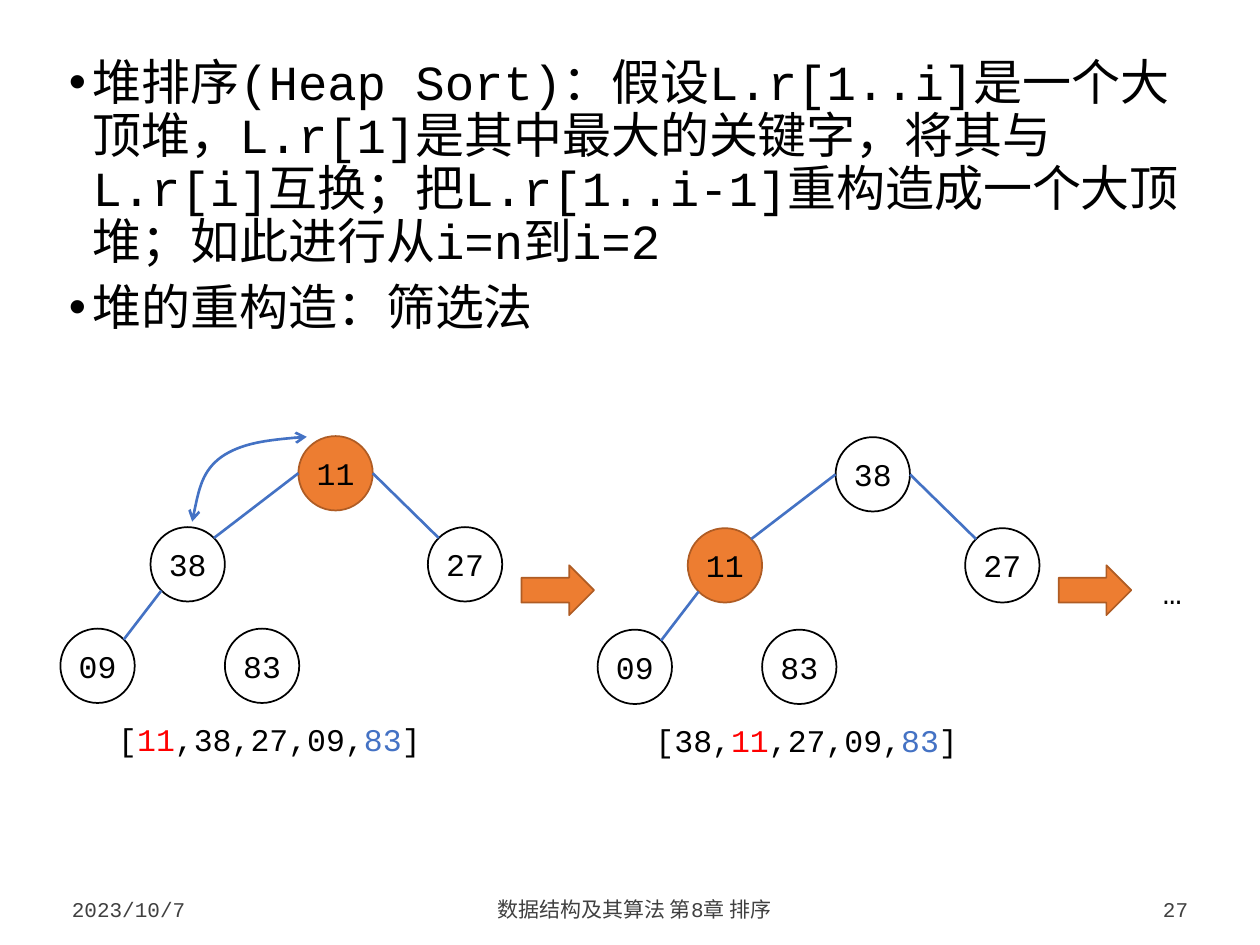
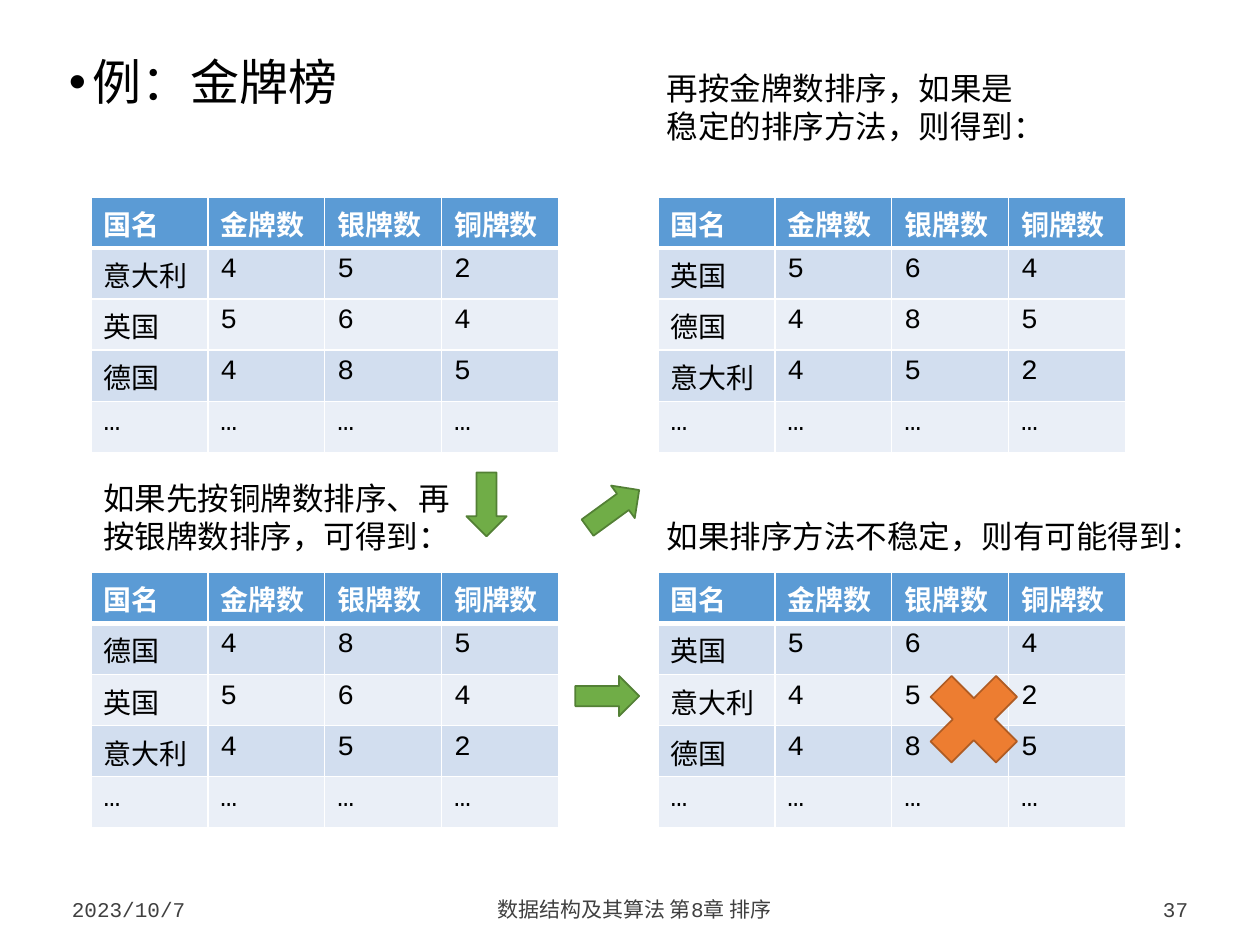
import math

import pptx
import pptx.dml.color
import pptx.enum.shapes
import pptx.enum.text
import pptx.oxml
import pptx.oxml.ns
import pptx.util

Pt = pptx.util.Pt
SHAPE = pptx.enum.shapes.MSO_SHAPE
ALIGN = pptx.enum.text.PP_ALIGN
ANCHOR = pptx.enum.text.MSO_ANCHOR
qn = pptx.oxml.ns.qn

COLORS = {
    "black": "000000", "white": "FFFFFF", "footer": "404040",
    "blue": "4472C4", "red": "FF0000",
    "orange": "ED7D31", "orange_line": "AF5C24",
    "green": "70AD47", "green_line": "538035",
    "header": "5B9BD5", "odd_row": "D2DEEF", "even_row": "EAEFF7",
}
FONT = "Courier New"
STYLES = {
    "body": {"size": Pt(28), "name": FONT},
    "label": {"size": Pt(18), "name": FONT},
    "footer": {"size": Pt(12), "name": FONT},
    "cell": {"size": Pt(16), "name": FONT, "bold": False},
    "head_cell": {"size": Pt(16), "name": FONT, "bold": True},
}
BULLET_FORMAT = {"line_spacing": 0.9, "space_before": Pt(7.5)}
BODY_FRAME = {"margin_left": Pt(5.4), "margin_right": Pt(5.4),
              "margin_top": Pt(5.4), "margin_bottom": Pt(5.4)}
NODE_FRAME = {"margin_left": 0, "margin_right": 0, "margin_top": 0,
              "margin_bottom": 0, "word_wrap": False,
              "vertical_anchor": ANCHOR.MIDDLE}

BODY_BOX = (34, 28, 652, 462)
FOOTER_TOP, FOOTER_HEIGHT = 502, 28
NODE_SIZE = 42.5
NODE_PLACES = {"root": (136, 0), "left": (51.5, 52), "right": (210, 52),
               "left_leaf": (0, 110), "right_leaf": (94, 110)}


# Shared helpers
def rgb(name):
    return pptx.dml.color.RGBColor.from_string(COLORS[name])


def set_values(target, values):
    for name, value in values.items():
        setattr(target, name, value)


def add_xml(parent, tag, **attributes):
    child = pptx.oxml.parse_xml(f"<a:{tag} {pptx.oxml.ns.nsdecls('a')}/>")
    for name, value in attributes.items():
        child.set(name, str(value))
    parent.append(child)
    return child


def add_spans(para, spans, style):
    """Write (text, colour) pairs into a paragraph."""
    for text, color in spans:
        span = para.add_run()
        span.text = text
        set_values(span.font, STYLES[style])
        span.font.color.rgb = rgb(color)


def add_text(shapes, box, spans, style="label", wrap=True, **para_format):
    text_box = shapes.add_textbox(*map(Pt, box))
    text_box.text_frame.word_wrap = wrap
    para = text_box.text_frame.paragraphs[0]
    set_values(para, para_format)
    add_spans(para, spans, style)
    return text_box


def add_figure(shapes, kind, box, fill, line, rotation=0):
    figure = shapes.add_shape(kind, *map(Pt, box))
    figure.shadow.inherit = False
    figure.rotation = rotation
    figure.fill.solid()
    figure.fill.fore_color.rgb = rgb(fill)
    figure.line.color.rgb = rgb(line)
    figure.line.width = Pt(1)
    return figure


# Parts on every slide
def add_bullets(page, box, items):
    body = page.shapes.add_textbox(*map(Pt, box))
    frame = body.text_frame
    frame.word_wrap = True
    set_values(frame, BODY_FRAME)
    for index, item in enumerate(items):
        para = frame.add_paragraph() if index else frame.paragraphs[0]
        set_values(para, BULLET_FORMAT)
        properties = para._p.get_or_add_pPr()
        properties.set("marL", str(Pt(13.5)))
        properties.set("indent", str(-Pt(13.5)))
        add_xml(properties, "buFont", typeface="Arial")
        add_xml(properties, "buChar", char="•")
        add_spans(para, [(item, "black")], "body")


def add_footer(page, number):
    parts = [(34, 90, "2023/10/7", ALIGN.LEFT),
             (132.5, 460, "数据结构及其算法 第8章 排序", ALIGN.CENTER),
             (601, 85, number, ALIGN.RIGHT)]
    for left, width, text, alignment in parts:
        box = add_text(page.shapes, (left, FOOTER_TOP, width, FOOTER_HEIGHT),
                       [(text, "footer")], "footer", alignment=alignment)
        box.text_frame.vertical_anchor = ANCHOR.BOTTOM


def new_page(deck, bullets, number):
    page = deck.slides.add_slide(deck.slide_layouts[6])
    add_bullets(page, BODY_BOX, bullets)
    add_footer(page, number)
    return page


# Heap tree: nodes, edges and the array below
def add_edge(shapes, start, end):
    edge = shapes.add_connector(pptx.enum.shapes.MSO_CONNECTOR.STRAIGHT,
                                *map(Pt, start + end))
    edge.line.color.rgb = rgb("blue")
    edge.line.width = Pt(1.5)
    add_xml(edge.element.spPr, "effectLst")


def add_tree(page, left, top, labels, moved, array):
    shapes = page.shapes.add_group_shape().shapes
    radius = NODE_SIZE / 2

    def rim(name, angle):
        x, y = NODE_PLACES[name]
        turn = math.radians(angle)
        return (left + x + radius * (1 + math.cos(turn)),
                top + y + radius * (1 - math.sin(turn)))

    for (name, (x, y)), label in zip(NODE_PLACES.items(), labels):
        colors = ("orange", "orange_line") if name == moved else ("white", "black")
        node = add_figure(shapes, SHAPE.OVAL,
                          (left + x, top + y, NODE_SIZE, NODE_SIZE), *colors)
        set_values(node.text_frame, NODE_FRAME)
        para = node.text_frame.paragraphs[0]
        para.alignment = ALIGN.CENTER
        add_spans(para, [(label, "black")], "label")

    for parent, from_angle, child, to_angle in [
            ("root", 180, "left", 45), ("root", 0, "right", 135),
            ("left", 225, "left_leaf", 45)]:
        add_edge(shapes, rim(parent, from_angle), rim(child, to_angle))
    add_text(shapes, (left + 26, top + 158.5, 221, 29), array)


def add_swap_curve(page, left, top):
    """Two-headed curve: a start point, then three points per Bezier piece."""
    points = [(0, 48.5), (2.9, 34), (5.8, 19.5), (16.6, 11.6),
              (28, 3.6), (46.8, 1.4), (65.5, 0)]
    places = [(Pt(left + x), Pt(top + y)) for x, y in points]
    builder = page.shapes.build_freeform(*places[0], scale=1.0)
    builder.add_line_segments(places[1:], close=False)
    curve = builder.convert_to_shape()
    curve.shadow.inherit = False
    curve.fill.background()
    curve.line.color.rgb = rgb("blue")
    curve.line.width = Pt(1.5)

    properties = curve.element.spPr
    outline = next(properties.iter(qn("a:path")))
    segments = outline.findall(qn("a:lnTo"))
    for index in range(0, len(segments), 3):
        bezier = add_xml(outline, "cubicBezTo")
        for segment in segments[index:index + 3]:
            bezier.append(segment[0])
            outline.remove(segment)
    line = properties.find(qn("a:ln"))
    for tag in ("headEnd", "tailEnd"):
        add_xml(line, tag, type="arrow")


# Medal table
def style_cell(cell, text, style, color, fill, bottom):
    add_spans(cell.text_frame.paragraphs[0], [(text, color)], style)
    properties = cell._tc.get_or_add_tcPr()
    for side, width in (("L", 1), ("R", 1), ("T", 1), ("B", bottom)):
        border = add_xml(properties, "ln" + side, w=Pt(width))
        add_xml(add_xml(border, "solidFill"), "srgbClr", val=COLORS["white"])
    cell.fill.solid()
    cell.fill.fore_color.rgb = rgb(fill)


def add_medal_table(page, left, top, countries):
    medals = {"意大利": "452", "英国": "564", "德国": "485"}
    rows = [["国名", "金牌数", "银牌数", "铜牌数"]]
    rows += [[country, *medals[country]] for country in countries]
    rows.append(["…"] * 4)
    table = page.shapes.add_table(len(rows), 4, Pt(left), Pt(top),
                                  Pt(267.2), Pt(146)).table
    for column in table.columns:
        column.width = Pt(66.8)
    for index, texts in enumerate(rows):
        table.rows[index].height = Pt(29.2)
        if index == 0:
            look = ("head_cell", "white", "header", 3)
        else:
            look = ("cell", "black", "odd_row" if index % 2 else "even_row", 1)
        for column, text in enumerate(texts):
            style_cell(table.cell(index, column), text, *look)


# Slides
def build_heap_slide(deck):
    page = new_page(deck, [
        "堆排序(Heap Sort)：假设L.r[1..i]是一个大顶堆，L.r[1]是其中最大的关键字，"
        "将其与L.r[i]互换；把L.r[1..i-1]重构造成一个大顶堆；如此进行从i=n到i=2",
        "堆的重构造：筛选法"], "27")
    first_left, step = 34.5, 307
    add_tree(page, first_left, 249.2, ["11", "38", "27", "09", "83"], "root",
             [("[", "black"), ("11", "red"), (",38,27,09,", "black"),
              ("83", "blue"), ("]", "black")])
    add_tree(page, first_left + step, 249.8, ["38", "11", "27", "09", "83"], "left",
             [("[38,", "black"), ("11", "red"), (",27,09,", "black"),
              ("83", "blue"), ("]", "black")])
    add_swap_curve(page, 109.8, 249.6)
    for index in range(2):
        add_figure(page.shapes, SHAPE.RIGHT_ARROW,
                   (298 + index * step, 323, 41.5, 28.5), "orange", "orange_line")
    add_text(page.shapes, (657.5, 324, 25, 29), [("…", "black")], wrap=False)


def build_medal_slide(deck):
    page = new_page(deck, ["例：金牌榜"], "37")
    left, right, upper, lower = 52, 376, 112.5, 327
    for x, y, countries in [
            (left, upper, ["意大利", "英国", "德国"]),
            (left, lower, ["德国", "英国", "意大利"]),
            (right, upper, ["英国", "德国", "意大利"]),
            (right, lower, ["英国", "意大利", "德国"])]:
        add_medal_table(page, x, y, countries)

    # Captions above the tables
    for box, text, wrap in [
            ((left, 270, 214.5, 51), "如果先按铜牌数排序、再按银牌数排序，可得到：", True),
            ((374, 36, 227, 51), "再按金牌数排序，如果是稳定的排序方法，则得到：", True),
            ((374, 292, 323, 29), "如果排序方法不稳定，则有可能得到：", False)]:
        add_text(page.shapes, box, [(text, "black")], wrap=wrap)

    # Cross on the wrong result, arrows between the tables
    add_figure(page.shapes, SHAPE.MATH_MULTIPLY, (520.5, 375, 72, 72),
               "orange", "orange_line")
    for x, y, rotation in [(266.5, 270, 0), (339, 272.5, 233.9), (335.5, 379.5, 270)]:
        add_figure(page.shapes, SHAPE.DOWN_ARROW, (x, y, 23, 36.5),
                   "green", "green_line", rotation)


deck = pptx.Presentation()
deck.slide_width, deck.slide_height = Pt(720), Pt(540)
build_heap_slide(deck)
build_medal_slide(deck)
deck.save("out.pptx")
